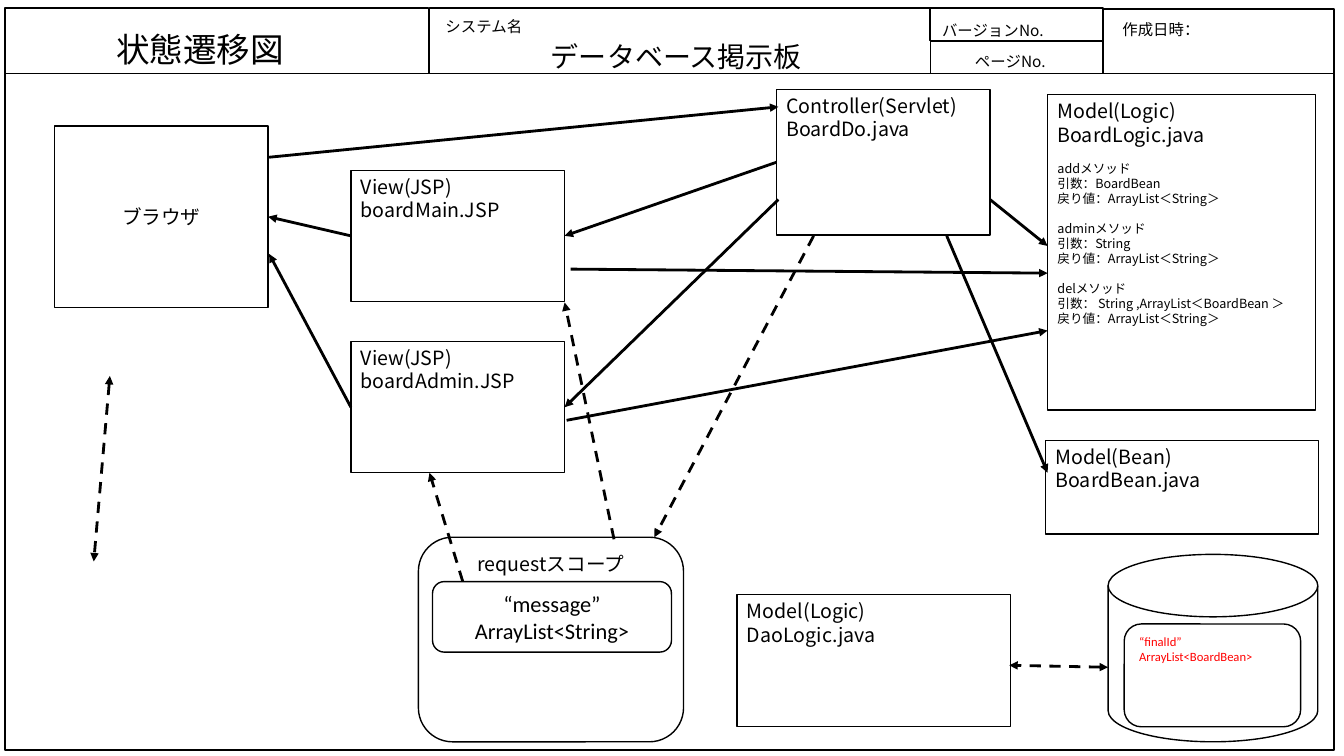
"""Build the state transition diagram of the bulletin board system."""
from dataclasses import dataclass
from typing import NamedTuple, Optional, Union

from lxml.etree import SubElement
from pptx import Presentation
from pptx.dml.color import RGBColor
from pptx.enum.dml import MSO_LINE
from pptx.enum.shapes import MSO_CONNECTOR, MSO_SHAPE
from pptx.enum.text import MSO_ANCHOR, MSO_AUTO_SIZE, PP_ALIGN
from pptx.oxml.ns import qn
from pptx.shapes.autoshape import Shape
from pptx.shapes.shapetree import GroupShapes, SlideShapes
from pptx.text.text import TextFrame
from pptx.util import Inches, Pt


@dataclass(frozen=True)
class Theme:
    japanese: str = "Noto Sans CJK JP"
    latin: str = "Calibri"
    leading: float = 1.18
    ink: RGBColor = RGBColor(0, 0, 0)
    paper: RGBColor = RGBColor(255, 255, 255)
    alert: RGBColor = RGBColor(255, 0, 0)
    title: int = 24
    system: int = 20
    message: int = 16
    heading: int = 14
    caption: int = 11
    detail: int = 9
    block_gap: int = 11
    outline: float = 1
    arrow: float = 2


THEME = Theme()


class Area(NamedTuple):
    left: float
    top: float
    width: float
    height: float


class Block(NamedTuple):
    lines: tuple[str, ...]
    size: int = THEME.heading
    font: str = THEME.japanese
    color: RGBColor = THEME.ink


@dataclass(frozen=True)
class Box:
    area: Area
    blocks: tuple[Block, ...] = ()
    preset: MSO_SHAPE = MSO_SHAPE.RECTANGLE
    filled: bool = True
    align: PP_ALIGN = PP_ALIGN.LEFT
    anchor: MSO_ANCHOR = MSO_ANCHOR.TOP


class Label(NamedTuple):
    area: Area
    block: Block
    align: PP_ALIGN = PP_ALIGN.CENTER
    anchor: MSO_ANCHOR = MSO_ANCHOR.TOP


class Point(NamedTuple):
    x: float
    y: float


class Port(NamedTuple):
    box: str
    side: int


class Arrow(NamedTuple):
    start: Union[Point, Port]
    end: Union[Point, Port]
    dashed: bool = False
    two_way: bool = False


LEFT, RIGHT = 1, 3
VIEW_LEFT, VIEW_WIDTH, VIEW_HEIGHT = 3.48, 2.12, 1.3
ROUNDED = MSO_SHAPE.ROUNDED_RECTANGLE

BOXES = {
    "browser": Box(Area(0.54, 1.25, 2.12, 1.8), (Block(("ブラウザ",)),),
                   align=PP_ALIGN.CENTER, anchor=MSO_ANCHOR.MIDDLE),
    "main": Box(Area(VIEW_LEFT, 1.69, VIEW_WIDTH, VIEW_HEIGHT),
                (Block(("View(JSP)", "boardMain.JSP")),)),
    "admin": Box(Area(VIEW_LEFT, 3.39, VIEW_WIDTH, VIEW_HEIGHT),
                 (Block(("View(JSP)", "boardAdmin.JSP")),)),
    "controller": Box(Area(7.7, 0.89, 2.12, 1.44),
                      (Block(("Controller(Servlet)", "BoardDo.java")),)),
    "logic": Box(Area(10.39, 0.94, 2.66, 3.13), (
        Block(("Model(Logic)", "BoardLogic.java")),
        Block(("addメソッド", "引数：BoardBean", "戻り値：ArrayList＜String＞"), THEME.detail),
        Block(("adminメソッド", "引数：String", "戻り値：ArrayList＜String＞"), THEME.detail),
        Block(("delメソッド", "引数： String ,ArrayList＜BoardBean ＞",
               "戻り値：ArrayList＜String＞"), THEME.detail))),
    "bean": Box(Area(10.37, 4.37, 2.71, 0.93), (Block(("Model(Bean)", "BoardBean.java")),)),
    "request": Box(Area(4.15, 5.33, 2.63, 2.03), (Block(("requestスコープ",)),),
                   ROUNDED, False, PP_ALIGN.CENTER),
    "message": Box(Area(4.29, 5.77, 2.37, 0.7),
                   (Block(("“message”", "ArrayList<String>"), THEME.message, THEME.latin),),
                   ROUNDED, False, PP_ALIGN.CENTER),
    "dao": Box(Area(7.31, 5.9, 2.71, 1.31), (Block(("Model(Logic)", "DaoLogic.java")),)),
    "database": Box(Area(10.99, 5.5, 2.08, 1.86),
                    preset=MSO_SHAPE.FLOWCHART_MAGNETIC_DISK, filled=False),
    "final_id": Box(Area(11.15, 6.19, 1.75, 1.02),
                    (Block(("“finalId”", "ArrayList<BoardBean>"),
                           THEME.detail, THEME.latin, THEME.alert),), ROUNDED, False),
}

FRAME_AREAS = (
    Area(0.05, 0.73, 13.18, 6.71), Area(0.05, 0.08, 4.2, 0.65), Area(4.26, 0.08, 4.97, 0.65),
    Area(9.22, 0.08, 1.72, 0.32), Area(9.23, 0.41, 1.71, 0.32), Area(10.94, 0.09, 2.29, 0.64),
)

ARROWS = (
    Arrow(Point(2.67, 1.56), Point(7.72, 1.06)),
    Arrow(Port("controller", LEFT), Port("main", RIGHT)),
    Arrow(Point(7.72, 1.98), Port("admin", RIGHT)),
    Arrow(Port("admin", LEFT), Point(2.67, 2.52)),
    Arrow(Port("main", LEFT), Port("browser", RIGHT)),
    Arrow(Point(9.82, 1.98), Point(10.39, 2.44)),
    Arrow(Point(9.39, 2.34), Point(10.39, 4.69)),
    Arrow(Point(1.09, 3.73), Point(0.93, 5.57), dashed=True, two_way=True),
    Arrow(Point(8.07, 2.34), Point(6.49, 5.33), dashed=True),
    Arrow(Point(4.59, 5.77), Point(4.26, 4.69), dashed=True),
    Arrow(Point(6.09, 5.35), Point(5.6, 3), dashed=True),
    Arrow(Point(5.62, 4.17), Point(10.39, 3.28)),
    Arrow(Point(5.66, 2.67), Point(10.39, 2.71)),
    Arrow(Point(10.99, 6.62), Point(10.01, 6.6), dashed=True, two_way=True),
)

TITLE = Label(Area(0.54, 0.24, 2.89, 0.49), Block(("状態遷移図",), THEME.title))
LABELS = (
    Label(Area(4.02, 0.36, 5.38, 0.41), Block(("データベース掲示板",), THEME.system),
          anchor=MSO_ANCHOR.MIDDLE),
    Label(Area(4.18, 0.12, 1.24, 0.49), Block(("システム名",), THEME.caption)),
    Label(Area(8.94, 0.16, 1.51, 0.29), Block(("バージョンNo.",), THEME.caption), PP_ALIGN.RIGHT),
    Label(Area(9.22, 0.47, 1.25, 0.27), Block(("ページNo.",), THEME.caption), PP_ALIGN.RIGHT),
    Label(Area(10.85, 0.15, 1.33, 0.24), Block(("作成日時：",), THEME.caption)),
)


def write_blocks(frame: TextFrame, blocks: tuple[Block, ...],
                 align: PP_ALIGN, anchor: MSO_ANCHOR) -> None:
    frame.word_wrap = True
    frame.auto_size = MSO_AUTO_SIZE.NONE
    frame.vertical_anchor = anchor
    if align == PP_ALIGN.LEFT:
        frame.margin_right = 0
    for index, block in enumerate(blocks):
        paragraph = frame.add_paragraph() if index else frame.paragraphs[0]
        paragraph.alignment = align
        paragraph.space_before = Pt(THEME.block_gap if index else 0)
        if block.font == THEME.japanese:
            paragraph.line_spacing = Pt(block.size * THEME.leading)
        for number, line in enumerate(block.lines):
            if number:
                paragraph.add_line_break()
            run = paragraph.add_run()
            run.text = line
            run.font.size = Pt(block.size)
            run.font.name = block.font
            run.font.color.rgb = block.color
            SubElement(run.font._element, qn("a:ea"), typeface=block.font)


def add_box(shapes: Union[SlideShapes, GroupShapes], box: Box) -> Shape:
    shape = shapes.add_shape(box.preset, *map(Inches, box.area))
    shape.shadow.inherit = False
    if box.filled:
        shape.fill.solid()
        shape.fill.fore_color.rgb = THEME.paper
    else:
        shape.fill.background()
    shape.line.color.rgb = THEME.ink
    shape.line.width = Pt(THEME.outline)
    write_blocks(shape.text_frame, box.blocks, box.align, box.anchor)
    return shape


def add_label(shapes: SlideShapes, label: Label, placeholder: Optional[Shape] = None) -> None:
    shape = placeholder or shapes.add_textbox(0, 0, 0, 0)
    shape.left, shape.top, shape.width, shape.height = map(Inches, label.area)
    write_blocks(shape.text_frame, (label.block,), label.align, label.anchor)


def add_arrow(shapes: SlideShapes, arrow: Arrow, boxes: dict[str, Shape]) -> None:
    ends = [Point(0, 0) if isinstance(end, Port) else end for end in (arrow.start, arrow.end)]
    connector = shapes.add_connector(
        MSO_CONNECTOR.STRAIGHT, *(Inches(value) for end in ends for value in end))
    if isinstance(arrow.start, Port):
        connector.begin_connect(boxes[arrow.start.box], arrow.start.side)
    if isinstance(arrow.end, Port):
        connector.end_connect(boxes[arrow.end.box], arrow.end.side)
    connector.line.color.rgb = THEME.ink
    connector.line.width = Pt(THEME.arrow)
    if arrow.dashed:
        connector.line.dash_style = MSO_LINE.DASH
    for tag in ("a:headEnd", "a:tailEnd") if arrow.two_way else ("a:tailEnd",):
        SubElement(connector.line._get_or_add_ln(), qn(tag), type="triangle")
    SubElement(connector._element.spPr, qn("a:effectLst"))


def main() -> None:
    presentation = Presentation()
    presentation.slide_width, presentation.slide_height = Inches(13.33), Inches(7.5)
    shapes = presentation.slides.add_slide(presentation.slide_layouts[5]).shapes
    add_label(shapes, TITLE, shapes.title)
    boxes = {name: add_box(shapes, box) for name, box in BOXES.items()}
    for arrow in ARROWS:
        add_arrow(shapes, arrow, boxes)
    for label in LABELS:
        add_label(shapes, label)
    frame_group = shapes.add_group_shape()
    for area in FRAME_AREAS:
        add_box(frame_group.shapes, Box(area, filled=False))
    presentation.save("out.pptx")


if __name__ == "__main__":
    main()
